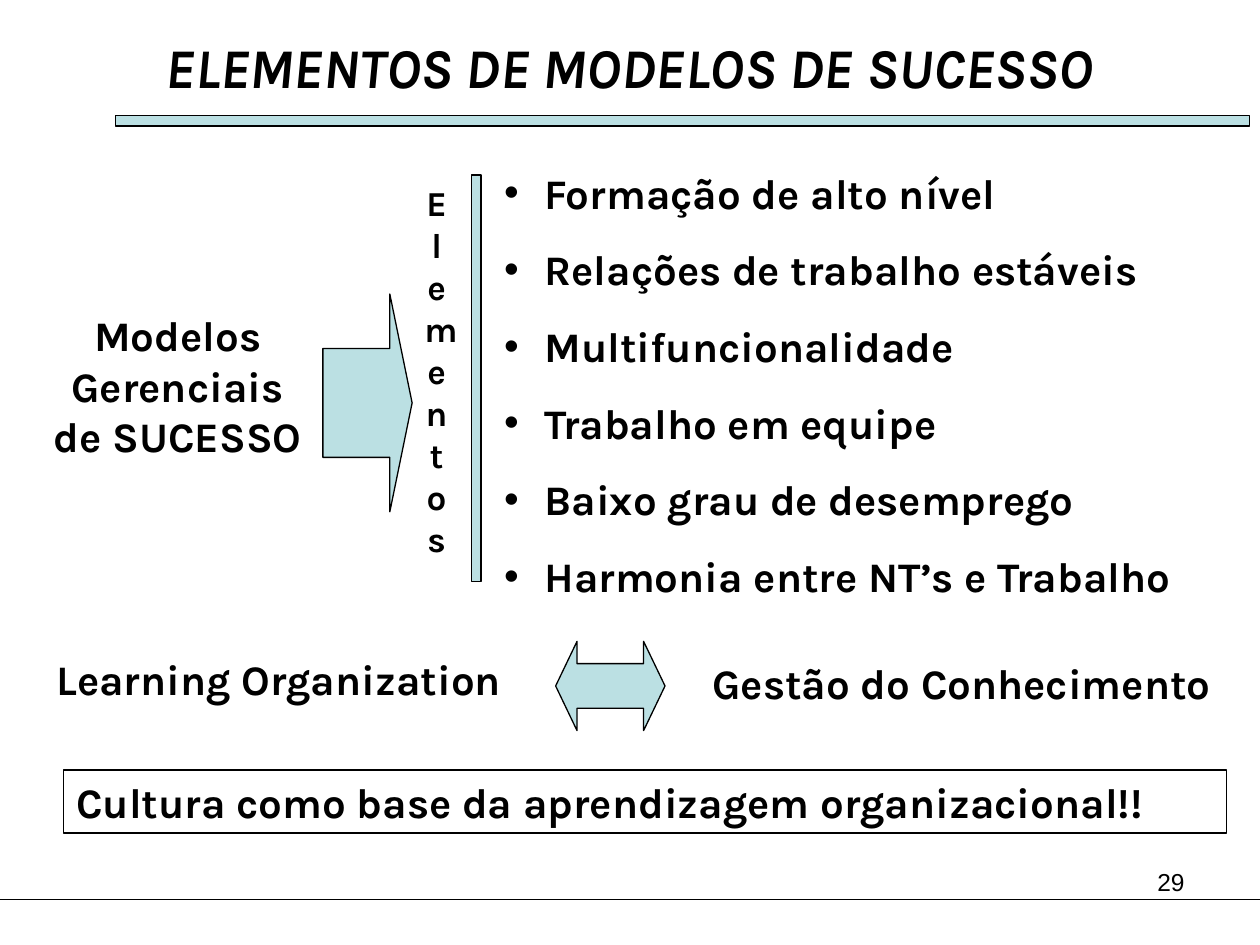
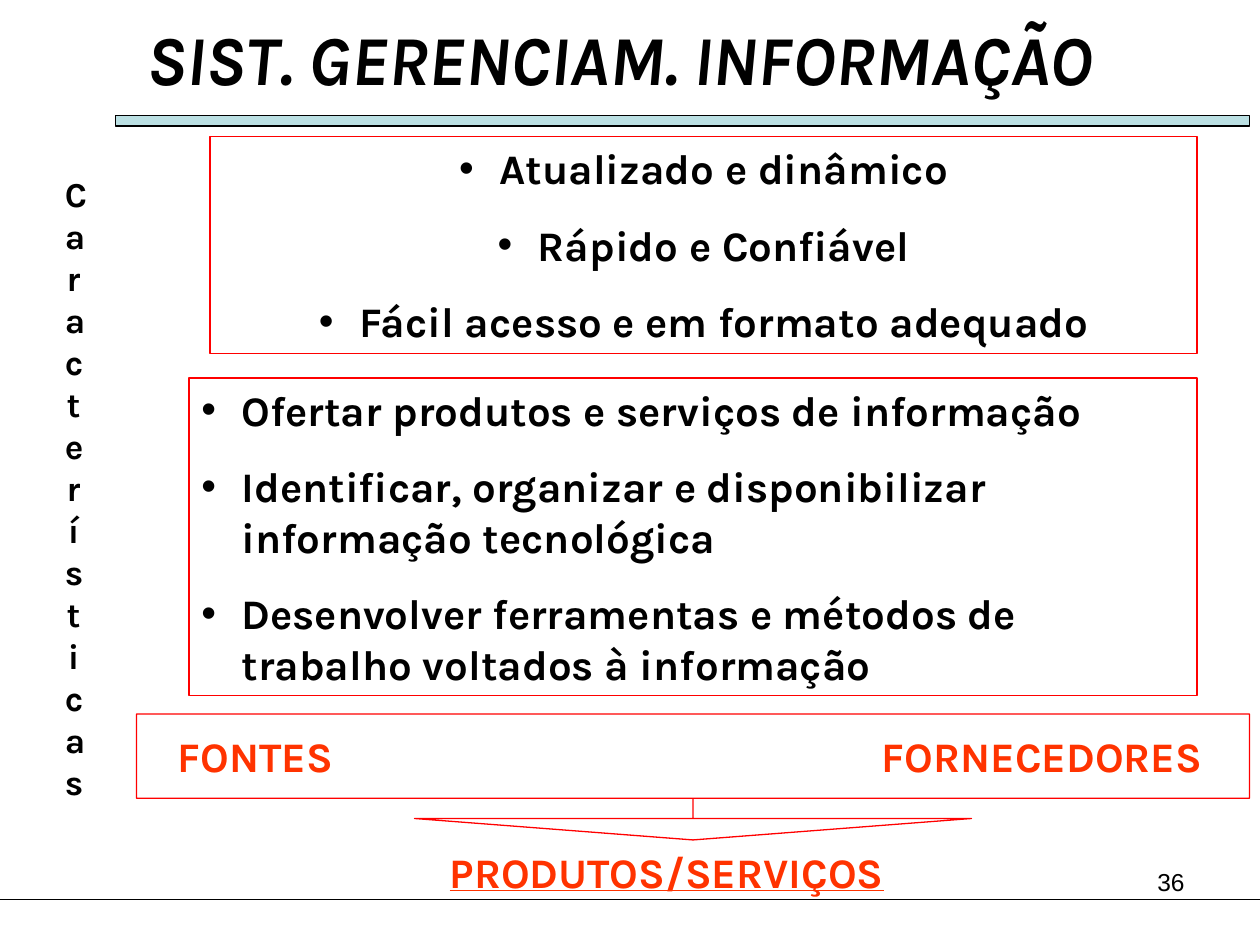
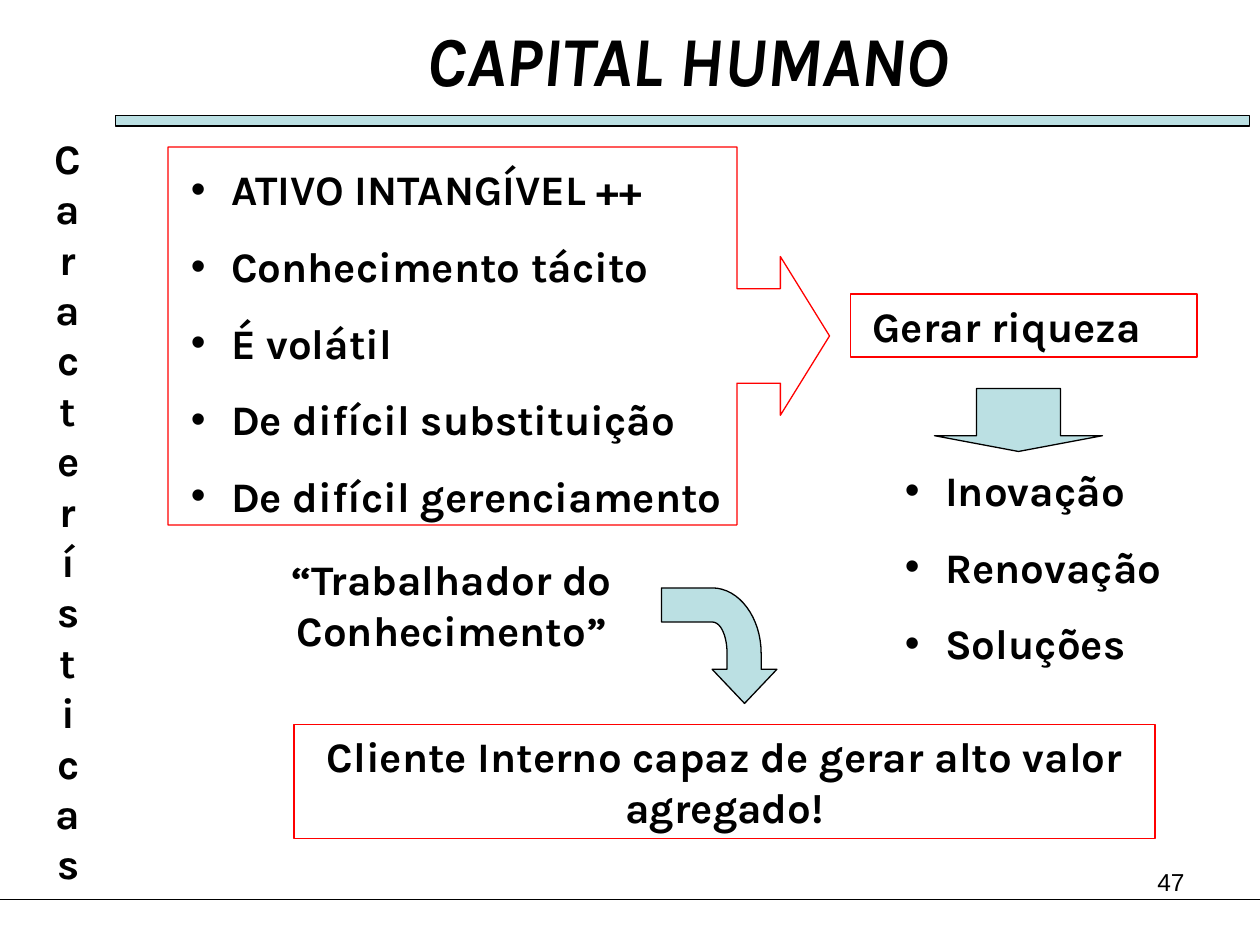
from dataclasses import dataclass

from lxml import etree
from pptx import Presentation
from pptx.dml.color import RGBColor
from pptx.enum.shapes import MSO_CONNECTOR, MSO_SHAPE
from pptx.enum.text import MSO_ANCHOR, MSO_AUTO_SIZE, PP_ALIGN
from pptx.oxml.ns import qn
from pptx.util import Pt

LEFT, CENTER, RIGHT = PP_ALIGN.LEFT, PP_ALIGN.CENTER, PP_ALIGN.RIGHT
TOP, NO_FIT = MSO_ANCHOR.TOP, MSO_AUTO_SIZE.NONE
RECT, STRAIGHT = MSO_SHAPE.RECTANGLE, MSO_CONNECTOR.STRAIGHT
ARROW_RIGHT, ARROW_DOWN = MSO_SHAPE.RIGHT_ARROW, MSO_SHAPE.DOWN_ARROW
ARROW_BOTH = MSO_SHAPE.LEFT_RIGHT_ARROW
CALLOUT_RIGHT = MSO_SHAPE.RIGHT_ARROW_CALLOUT
CALLOUT_DOWN = MSO_SHAPE.DOWN_ARROW_CALLOUT
TITLE_ONLY = 5


@dataclass(frozen=True)
class Theme:
    """Colours, fonts and sizes shared by the slides."""
    ink: str = "000000"
    paper: str = "FFFFFF"
    aqua: str = "BBE0E3"
    red: str = "FF0000"
    orange: str = "FF3300"
    font: str = "Karla"
    number_font: str = "Arial"
    body: int = 24
    side: int = 20
    number: int = 14
    line: float = 0.75
    gap: int = 15
    indent: int = 23


T = Theme()


def rgb(color):
    """Turn a hex string into a colour."""
    return RGBColor.from_string(color)


def paint(sp, fill=None, line=None):
    """Set fill and line of a shape and drop its shadow."""
    sp.shadow.inherit = False
    if fill:
        sp.fill.solid()
        sp.fill.fore_color.rgb = rgb(fill)
    else:
        sp.fill.background()
    if line:
        sp.line.color.rgb = rgb(line)
        sp.line.width = Pt(T.line)
    else:
        sp.line.fill.background()


def add_bullet(p):
    """Give a paragraph a hanging round bullet."""
    pPr = p._p.get_or_add_pPr()
    pPr.set("marL", str(Pt(T.indent)))
    pPr.set("indent", str(-Pt(T.indent)))
    etree.SubElement(pPr, qn("a:buFont")).set("typeface", T.number_font)
    etree.SubElement(pPr, qn("a:buChar")).set("char", "•")


def write(sp, lines, size=T.body, color=T.ink, align=LEFT, bullets=False,
          font=T.font, bold=True, italic=False, underline=False):
    """Write one paragraph per line into a shape."""
    tf = sp.text_frame
    tf.word_wrap, tf.auto_size, tf.vertical_anchor = True, NO_FIT, TOP
    for i, line in enumerate(lines):
        p = tf.add_paragraph() if i else tf.paragraphs[0]
        if bullets:
            add_bullet(p)
        p.alignment = align
        p.space_before = Pt(T.gap if i else 0)
        r = p.add_run()
        r.text = line
        f = r.font
        f.name, f.size, f.color.rgb = font, Pt(size), rgb(color)
        f.bold, f.italic, f.underline = bold, italic, underline
    return tf


def add_text(s, at, lines, **style):
    """Add a plain text box."""
    return write(s.shapes.add_textbox(*map(Pt, at)), lines, **style)


def add_preset(s, kind, at, fill=None, line=T.ink, adj=()):
    """Add a preset shape with its adjustments."""
    sp = s.shapes.add_shape(kind, *map(Pt, at))
    for i, value in enumerate(adj):
        sp.adjustments[i] = value
    paint(sp, fill, line)
    return sp


def add_box(s, at, lines, fill=None, line=T.red, **style):
    """Add a rectangle with text."""
    return write(add_preset(s, RECT, at, fill, line), lines, **style)


def bezier(a, b, c, d, steps=16):
    """Return points along a cubic curve after its start."""
    ts = [i / steps for i in range(1, steps + 1)]
    return [tuple((1 - t) ** 3 * a[k] + 3 * t * (1 - t) ** 2 * b[k]
                  + 3 * t * t * (1 - t) * c[k] + t ** 3 * d[k] for k in (0, 1))
            for t in ts]


def add_bent_arrow(s):
    """Add the arrow that turns from right to down."""
    start = (378, 336)
    outer = bezier((407, 336), (422.5, 336), (435, 353), (435, 373.5))
    inner = bezier((415.5, 373.5), (415.5, 363.5), (412, 355.5), (407, 355.5))
    head = [(435, 382.5), (444, 382.5), (425.5, 402), (407, 382.5),
            (415.5, 382.5), (415.5, 373.5)]
    points = [(407, 336), *outer, *head, *inner, (378, 355.5)]
    fb = s.shapes.build_freeform(*map(Pt, start))
    fb.add_line_segments([(Pt(x), Pt(y)) for x, y in points], close=True)
    paint(fb.convert_to_shape(), T.aqua, T.ink)


def add_slide(prs, title, at, size, number):
    """Add a slide with band, footer line, title and number."""
    s = prs.slides.add_slide(prs.slide_layouts[TITLE_ONLY])
    add_preset(s, RECT, (66, 66, 648, 6), T.aqua)
    rule = s.shapes.add_connector(STRAIGHT, *map(Pt, (0, 514, 720, 514)))
    rule.line.color.rgb = rgb(T.ink)
    rule.line.width = Pt(T.line)
    etree.SubElement(rule._element.spPr, qn("a:effectLst"))
    sp = s.shapes.title
    sp.left, sp.top, sp.width, sp.height = map(Pt, at)
    write(sp, [title], size=size, align=CENTER, italic=True)
    add_text(s, (516, 492, 168, 37.5), [number], size=T.number, align=RIGHT,
             font=T.number_font, bold=False)
    return s


def success_models(prs):
    """Build the slide on elements of successful models."""
    s = add_slide(prs, "ELEMENTOS DE MODELOS DE SUCESSO",
                  (36.5, 15, 647, 46), 32, "29")
    add_text(s, (14.5, 370, 289.5, 36), ["Learning Organization"], align=CENTER)
    add_preset(s, ARROW_BOTH, (317.5, 366.5, 62.5, 51), T.aqua, adj=(0.5, 0.24))
    add_text(s, (385, 372, 329, 36), ["Gestão do Conhecimento"], align=CENTER)
    add_text(s, (19.5, 173.5, 164, 94), ["Modelos Gerenciais de SUCESSO"],
             align=CENTER)
    add_preset(s, ARROW_RIGHT, (184.5, 168, 51, 124.5), T.aqua, adj=(0.5, 0.25))
    add_text(s, (281, 92, 425.5, 255), [
        "Formação de alto nível", "Relações de trabalho estáveis",
        "Multifuncionalidade", "Trabalho em equipe",
        "Baixo grau de desemprego", "Harmonia entre NT’s e Trabalho",
    ], bullets=True)
    add_preset(s, RECT, (269.5, 100, 5.5, 232.5), T.aqua)
    add_box(s, (36.5, 440, 664.5, 36),
            ["Cultura como base da aprendizagem organizacional!!"], line=T.ink)
    add_text(s, (235.5, 100, 28, 223), ["Elementos"], size=T.side, align=CENTER)


def information_system(prs):
    """Build the slide on the information management system."""
    s = add_slide(prs, "SIST. GERENCIAM. INFORMAÇÃO", (6, 5, 696, 55), 40, "36")
    add_box(s, (30, 95, 24, 367), ["Características"], T.paper, None,
            size=T.side, align=CENTER)
    add_box(s, (120, 78, 564, 124), [
        "Atualizado e dinâmico", "Rápido e Confiável",
        "Fácil acesso e em formato adequado",
    ], align=CENTER, bullets=True)
    add_box(s, (108, 216, 576, 181.5), [
        "Ofertar produtos e serviços de informação",
        "Identificar, organizar e disponibilizar informação tecnológica",
        "Desenvolver ferramentas e métodos de trabalho voltados à informação",
    ], bullets=True)
    for at, label, underline in (
            ((63.5, 414, 165, 36), "FONTES", False),
            ((216, 480, 330, 36), "PRODUTOS/SERVIÇOS", True),
            ((489, 414, 213, 36), "FORNECEDORES", False)):
        add_text(s, at, [label], color=T.orange, align=CENTER,
                 underline=underline)
    add_preset(s, CALLOUT_DOWN, (78, 408, 636, 72), line=T.red,
               adj=(0, 2.21, 0.17, 0.67))


def human_capital(prs):
    """Build the slide on human capital."""
    s = add_slide(prs, "CAPITAL HUMANO", (108, 6, 570, 55), 40, "47")
    add_text(s, (102, 90, 336, 211.5), [
        "ATIVO INTANGÍVEL ++", "Conhecimento tácito", "É volátil",
        "De difícil substituição", "De difícil gerenciamento",
    ], bullets=True)
    add_preset(s, CALLOUT_RIGHT, (96, 84, 378, 216), line=T.red,
               adj=(0.25, 0.21, 0.13, 0.86))
    wealth = add_box(s, (486, 168, 198, 36), ["Gerar riqueza"])
    wealth.margin_left = Pt(12.5)
    add_text(s, (510, 262, 168, 124), ["Inovação", "Renovação", "Soluções"],
             bullets=True)
    add_preset(s, ARROW_DOWN, (534, 222, 96, 36), T.aqua, adj=(0.5, 0.25))
    add_text(s, (108, 313, 300, 65), ["“Trabalhador do Conhecimento”"],
             align=CENTER)
    add_box(s, (168, 414, 492, 65),
            ["Cliente Interno capaz de gerar alto valor agregado!"],
            align=CENTER)
    add_bent_arrow(s)
    add_box(s, (24, 72, 30, 439), ["Características"], T.paper, None,
            align=CENTER)


def main():
    """Build and save the presentation."""
    prs = Presentation()
    prs.slide_width, prs.slide_height = Pt(720), Pt(540)
    success_models(prs)
    information_system(prs)
    human_capital(prs)
    prs.save("out.pptx")


if __name__ == "__main__":
    main()
